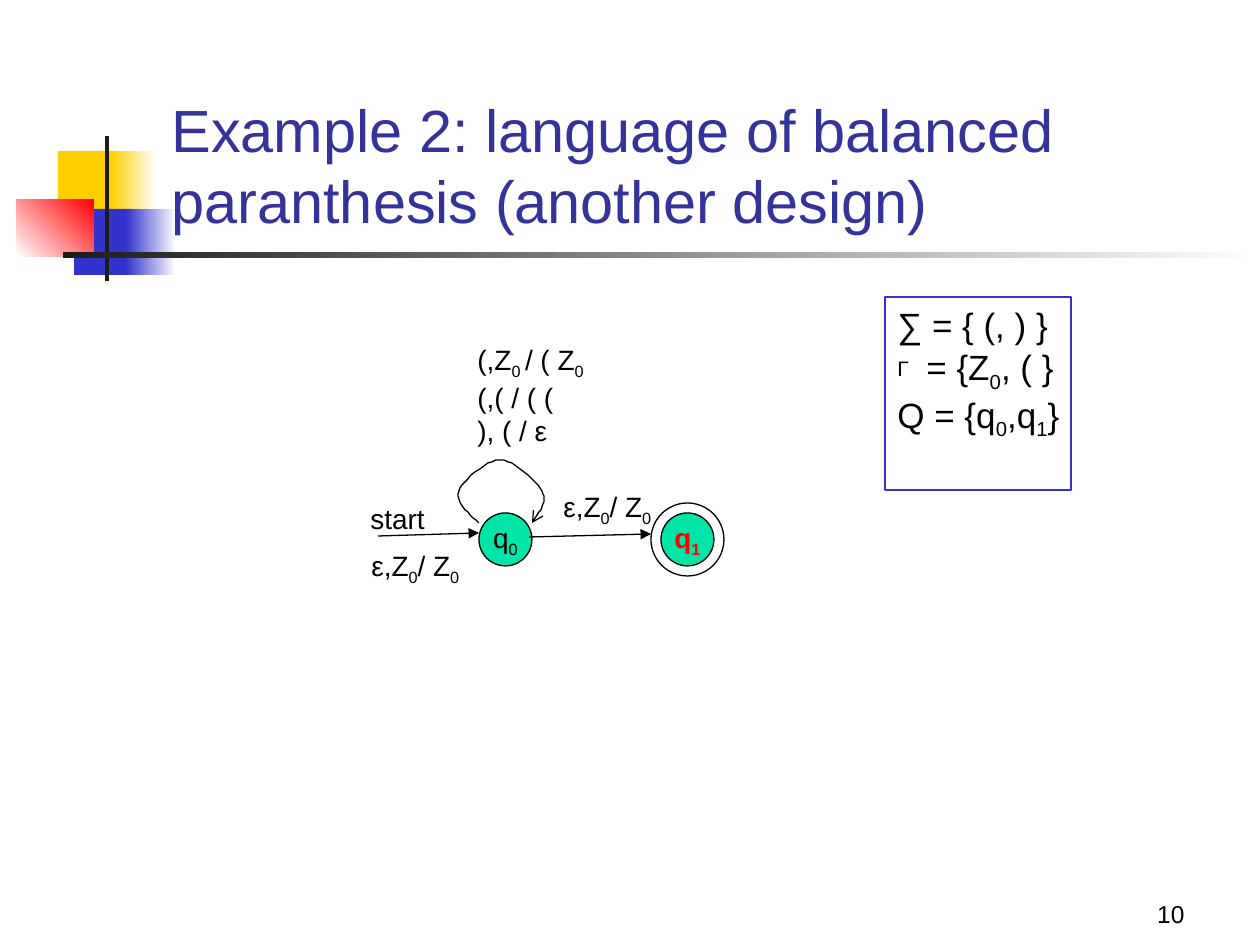
from lxml.etree import SubElement
from pptx import Presentation
from pptx.dml.color import RGBColor
from pptx.enum.shapes import MSO_CONNECTOR, MSO_SHAPE
from pptx.enum.text import MSO_ANCHOR, MSO_AUTO_SIZE, PP_ALIGN
from pptx.oxml.ns import qn
from pptx.util import Pt

PX = 914400 / 126
FONT = "Arial"
COLORS = {
    "yellow": "FFCF01", "blue": "3333CC", "red": "FF0000", "white": "FFFFFF",
    "ink": "1C1C1C", "title": "333399", "black": "000000", "green": "00E4A8",
}
TITLE = "Example 2: language of balanced paranthesis (another design)"

# Each ornament: position and size, gradient colours, angle
ORNAMENTS = [
    ((58, 151, 60, 66), ["yellow"], 0),
    ((111, 151, 45, 66), ["yellow", "white"], 0),
    ((74, 209, 58, 66), ["blue"], 0),
    ((126, 209, 50, 66), ["blue", "white"], 0),
    ((17, 199, 77, 58), ["white", "red"], 45),
    ((105, 136, 4, 145), ["ink"], 0),
    ((63, 252, 1197, 6), ["ink", "white"], 0),
]
# In every line of text the odd pieces are subscripts
STACK_MOVE = ["ε,Z", "0", "/ Z", "0"]
LABELS = [
    ((465, 336, 131, 118), [["(,Z", "0 ", "/ ( Z", "0"], ["(,( / ( ("], ["), ( / ε"]]),
    ((358, 495, 79, 47), [["start"]]),
    ((551, 483, 120, 52), [STACK_MOVE]),
    ((359, 542, 120, 52), [STACK_MOVE]),
]
DEFINITION_BOX = (885, 297, 186, 193)
DEFINITIONS = [["∑ = { (, ) }"], ["= {Z", "0", ", ( }"], ["Q = {q", "0", ",q", "1", "}"]]
STATES = [
    ((479, 513, 53, 53), "green", ["q", "0"], {}),
    ((651, 503, 73, 73), None, [], {}),
    ((661, 513, 53, 53), "green", ["q", "1"], {"color": "red", "bold": True}),
]
ARROWS = [((378, 536), (479, 533)), ((529, 537), (651, 534))]
LOOP_START = (479, 523)
LOOP_CURVES = [
    ((467, 513), (455, 501), (459, 491)),
    ((462, 481), (486, 460), (500, 460)),
    ((514, 460), (537, 481), (542, 491)),
    ((548, 501), (539, 513), (532, 523)),
]
CURVE_STEPS = 12


def emu(*lengths):
    return [round(length * PX) for length in lengths]


def rgb(name):
    return RGBColor.from_string(COLORS[name])


def style_line(shape, color="black", head=None):
    shape.line.color.rgb = rgb(color)
    shape.line.width = Pt(0.75)
    if head:
        SubElement(shape.line._ln, qn("a:tailEnd"), type=head)


def add_shape(page, kind, place, fill=None, line=None):
    shape = page.shapes.add_shape(kind, *emu(*place))
    shape.shadow.inherit = False
    if fill:
        shape.fill.solid()
        shape.fill.fore_color.rgb = rgb(fill)
    else:
        shape.fill.background()
    if line:
        style_line(shape, line)
    else:
        shape.line.fill.background()
    return shape


def add_bullet(para, mark, indent):
    props = para._p.get_or_add_pPr()
    props.set("marL", str(indent))
    props.set("indent", str(-indent))
    SubElement(props, qn("a:buSzPct"), val="60000")
    SubElement(props, qn("a:buFont"), typeface=FONT)
    SubElement(props, qn("a:buChar"), char=mark)


def write(shape, lines, size=16, color="black", bold=False,
          align=PP_ALIGN.LEFT, anchor=MSO_ANCHOR.TOP, wrap=False):
    frame = shape.text_frame
    settings = {"word_wrap": wrap, "auto_size": MSO_AUTO_SIZE.NONE, "vertical_anchor": anchor}
    for name, value in settings.items():
        setattr(frame, name, value)
    for index, pieces in enumerate(lines):
        para = frame.add_paragraph() if index else frame.paragraphs[0]
        para.alignment = align
        for order, piece in enumerate(pieces):
            span = para.add_run()
            span.text = piece
            for name, value in {"name": FONT, "size": Pt(size), "bold": bold}.items():
                setattr(span.font, name, value)
            span.font.color.rgb = rgb(color)
            if order % 2:
                span._r.get_or_add_rPr().set("baseline", "-25000")
    return frame


def loop_points():
    start = LOOP_START
    for first, second, end in LOOP_CURVES:
        for step in range(1, CURVE_STEPS + 1):
            t = step / CURVE_STEPS
            weights = ((1 - t) ** 3, 3 * t * (1 - t) ** 2, 3 * t * t * (1 - t), t ** 3)
            corners = (start, first, second, end)
            yield tuple(sum(w * c[axis] for w, c in zip(weights, corners)) for axis in (0, 1))
        start = end


def main():
    deck = Presentation()
    deck.slide_width, deck.slide_height = emu(1260, 945)
    page = deck.slides.add_slide(deck.slide_layouts[5])

    for place, colors, angle in ORNAMENTS:
        block = add_shape(page, MSO_SHAPE.RECTANGLE, place, colors[0])
        if len(colors) > 1:
            block.fill.gradient()
            block.fill.gradient_angle = angle
            for stop, color in zip(block.fill.gradient_stops, colors):
                stop.color.rgb = rgb(color)

    title = page.shapes.title
    title.left, title.top, title.width, title.height = emu(159, 84, 1074, 158)
    write(title, [[TITLE]], size=34, color="title", anchor=MSO_ANCHOR.BOTTOM, wrap=True)
    page.shapes._spTree.append(title._element)

    number = page.shapes.add_textbox(*emu(935, 872, 262, 63))
    write(number, [["10"]], size=14, align=PP_ALIGN.RIGHT, anchor=MSO_ANCHOR.BOTTOM, wrap=True)

    box = add_shape(page, MSO_SHAPE.RECTANGLE, DEFINITION_BOX, line="blue")
    frame = write(box, DEFINITIONS, size=20)
    add_bullet(frame.paragraphs[1], "Γ", emu(29)[0])

    for place, fill, name, look in STATES:
        state = add_shape(page, MSO_SHAPE.OVAL, place, fill, "black")
        if name:
            write(state, [name], align=PP_ALIGN.CENTER, anchor=MSO_ANCHOR.MIDDLE, **look)

    for start, end in ARROWS:
        arrow = page.shapes.add_connector(MSO_CONNECTOR.STRAIGHT, *emu(*start, *end))
        style_line(arrow, head="triangle")
        SubElement(arrow._element.spPr, qn("a:effectLst"))

    builder = page.shapes.build_freeform(*LOOP_START, scale=PX)
    builder.add_line_segments(list(loop_points()), close=False)
    loop = builder.convert_to_shape()
    loop.shadow.inherit = False
    loop.fill.background()
    style_line(loop, head="arrow")

    for place, lines in LABELS:
        write(page.shapes.add_textbox(*emu(*place)), lines)

    deck.save("out.pptx")


if __name__ == "__main__":
    main()
